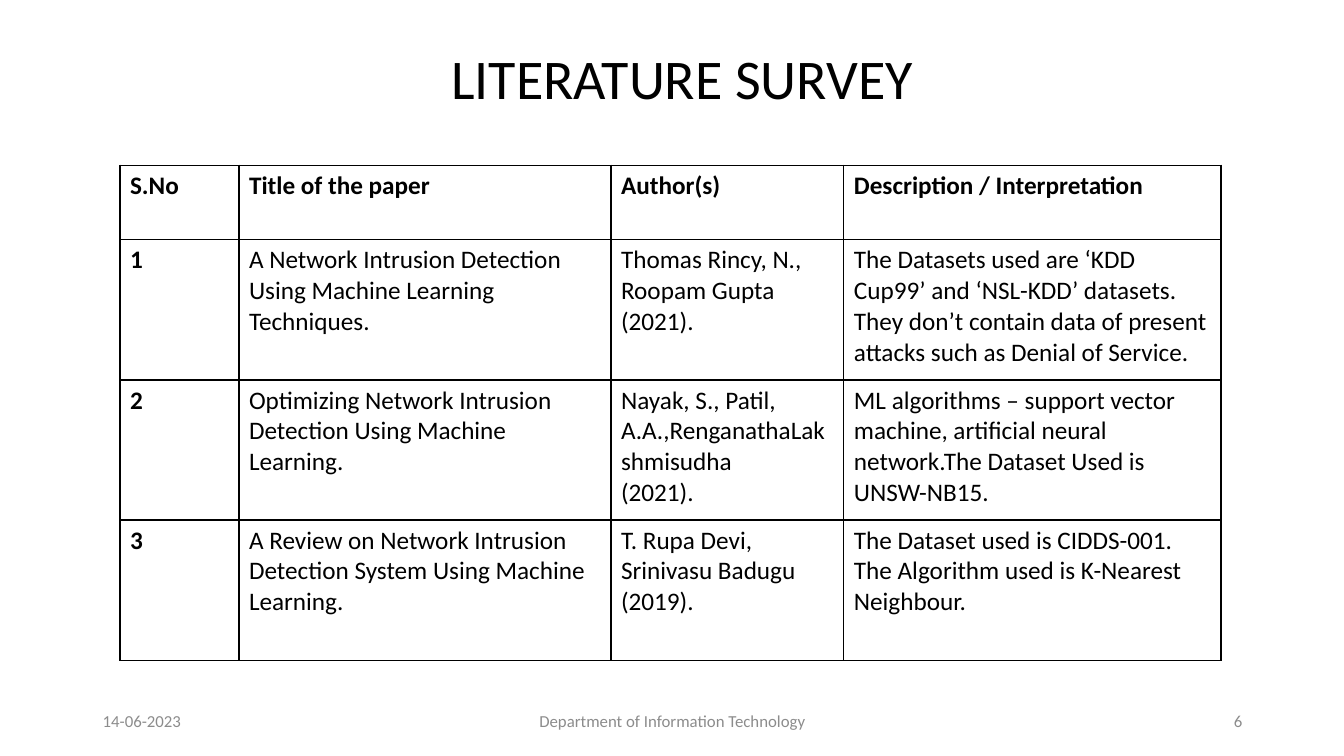
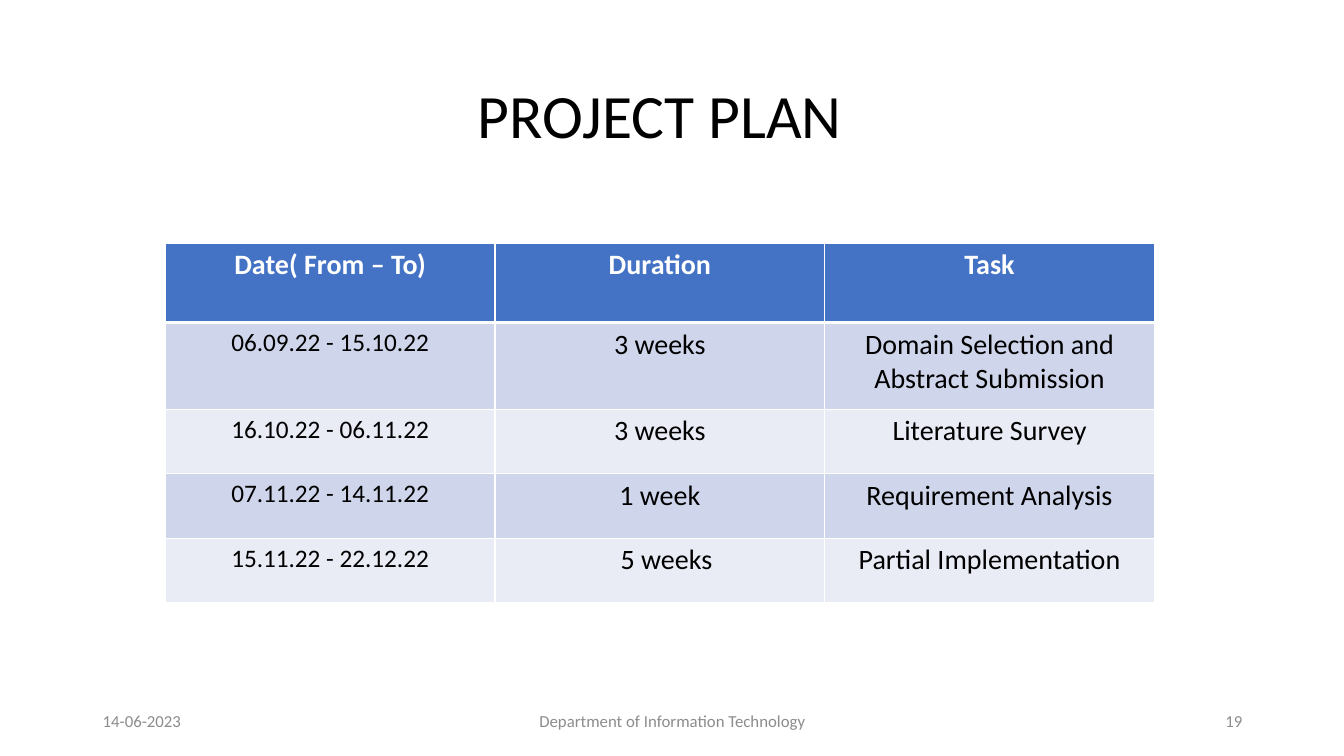
from lxml import etree
from pptx import Presentation
from pptx.dml.color import RGBColor
from pptx.enum.text import MSO_ANCHOR, PP_ALIGN
from pptx.oxml.ns import qn
from pptx.util import Inches, Pt

LEFT, CENTER, RIGHT = PP_ALIGN.LEFT, PP_ALIGN.CENTER, PP_ALIGN.RIGHT
TOP, MIDDLE = MSO_ANCHOR.TOP, MSO_ANCHOR.MIDDLE

FONT = "Calibri"
COLORS = {
    "ink": "000000",
    "paper": "FFFFFF",
    "footer": "8C8C8C",
    "header": "4472C4",
    "band_dark": "CFD5EA",
    "band_light": "E9EBF5",
}

SURVEY = [
    ["S.No", "Title of the paper", "Author(s)", "Description / Interpretation"],
    ["1", "A Network Intrusion Detection Using Machine Learning Techniques.",
     "Thomas Rincy, N., Roopam Gupta (2021).",
     "The Datasets used are ‘KDD Cup99’ and ‘NSL-KDD’ datasets.\n"
     "They don’t contain data of present attacks such as Denial of Service."],
    ["2", "Optimizing Network Intrusion Detection Using Machine Learning.",
     "Nayak, S., Patil, A.A.,RenganathaLakshmisudha\n(2021).",
     "ML algorithms – support vector machine, artificial neural "
     "network.The Dataset Used is UNSW-NB15."],
    ["3", "A Review on Network Intrusion Detection System Using Machine Learning.",
     "T. Rupa Devi, Srinivasu Badugu\n(2019).",
     "The Dataset used is CIDDS-001.\n"
     "The Algorithm used is K-Nearest\nNeighbour."],
]
PLAN = [
    ["Date( From – To)", "Duration", "Task"],
    ["06.09.22 - 15.10.22", "3 weeks", "Domain Selection and Abstract Submission"],
    ["16.10.22 - 06.11.22", "3 weeks", "Literature Survey"],
    ["07.11.22 - 14.11.22", "1 week", "Requirement Analysis"],
    ["15.11.22 - 22.12.22", "5 weeks", "Partial Implementation"],
]


def write(frame, text, size=18, color="ink", bold=False, align=LEFT):
    for index, line in enumerate(text.split("\n")):
        paragraph = frame.paragraphs[0] if index == 0 else frame.add_paragraph()
        paragraph.alignment = align
        run = paragraph.add_run()
        run.text = line
        run.font.name = FONT
        run.font.size = Pt(size)
        run.font.bold = bold
        run.font.color.rgb = RGBColor.from_string(COLORS[color])


def set_borders(cell, color, top=1, bottom=1):
    properties = cell._tc.get_or_add_tcPr()
    for tag, width in (("lnL", 1), ("lnR", 1), ("lnT", top), ("lnB", bottom)):
        line = etree.SubElement(properties, qn(f"a:{tag}"), w=str(Pt(width)))
        fill = etree.SubElement(line, qn("a:solidFill"))
        etree.SubElement(fill, qn("a:srgbClr"), val=COLORS[color])


class Deck:
    def __init__(self):
        self.presentation = Presentation()
        self.presentation.slide_width = Inches(13.33)
        self.presentation.slide_height = Inches(7.5)
        self.slide = None

    def add_slide(self, number):
        blank = self.presentation.slide_layouts[6]
        self.slide = self.presentation.slides.add_slide(blank)
        for text, left, width, align in (
            ("14-06-2023", 0.92, 3, LEFT),
            ("Department of Information Technology", 4.42, 4.5, CENTER),
            (str(number), 9.42, 3, RIGHT),
        ):
            self.add_text(text, left, 6.95, width, 0.4, anchor=MIDDLE,
                          size=12, color="footer", align=align)

    def add_text(self, text, left, top, width, height, anchor=TOP, **style):
        box = self.slide.shapes.add_textbox(
            Inches(left), Inches(top), Inches(width), Inches(height))
        box.text_frame.word_wrap = True
        box.text_frame.vertical_anchor = anchor
        write(box.text_frame, text, **style)

    def add_title(self, text, left, top, width, height, size):
        self.add_text(text, left, top, width, height, size=size, align=CENTER)

    def add_table(self, left, top, widths, heights):
        table = self.slide.shapes.add_table(
            len(heights), len(widths), Inches(left), Inches(top),
            Inches(sum(widths)), Inches(sum(heights))).table
        table.first_row = False
        table.horz_banding = False
        for column, width in zip(table.columns, widths):
            column.width = Inches(width)
        for row, height in zip(table.rows, heights):
            row.height = Inches(height)
        return table

    def add_survey(self, records):
        table = self.add_table(1.19, 1.64, [1.18, 3.69, 2.31, 3.74],
                               [0.74] + [1.39] * 3)
        for r, record in enumerate(records):
            for c, text in enumerate(record):
                cell = table.cell(r, c)
                set_borders(cell, "ink")
                cell.fill.background()
                write(cell.text_frame, text, bold=r == 0 or c == 0)

    def add_plan(self, records):
        table = self.add_table(1.64, 2.41, [3.27] * 3,
                               [0.79, 0.86] + [0.64] * 3)
        for r, record in enumerate(records):
            header = r == 0
            band = "header" if header else ("band_light", "band_dark")[r % 2]
            for c, text in enumerate(record):
                cell = table.cell(r, c)
                set_borders(cell, "paper", top=3 if r == 1 else 1,
                            bottom=3 if header else 1)
                cell.fill.solid()
                cell.fill.fore_color.rgb = RGBColor.from_string(COLORS[band])
                write(cell.text_frame, text, bold=header, align=CENTER,
                      size=18 if c == 0 and not header else 20,
                      color="paper" if header else "ink")
        last_duration = table.cell(len(records) - 1, 1)
        last_duration.margin_left = Inches(0.23)


def main():
    deck = Deck()

    deck.add_slide(6)
    deck.add_title("LITERATURE SURVEY", 2.49, 0.38, 8.55, 0.77, size=40)
    deck.add_survey(SURVEY)

    deck.add_slide(19)
    deck.add_title("PROJECT PLAN", 3.99, 0.71, 5.11, 0.84, size=44)
    deck.add_plan(PLAN)

    deck.presentation.save("out.pptx")


if __name__ == "__main__":
    main()
